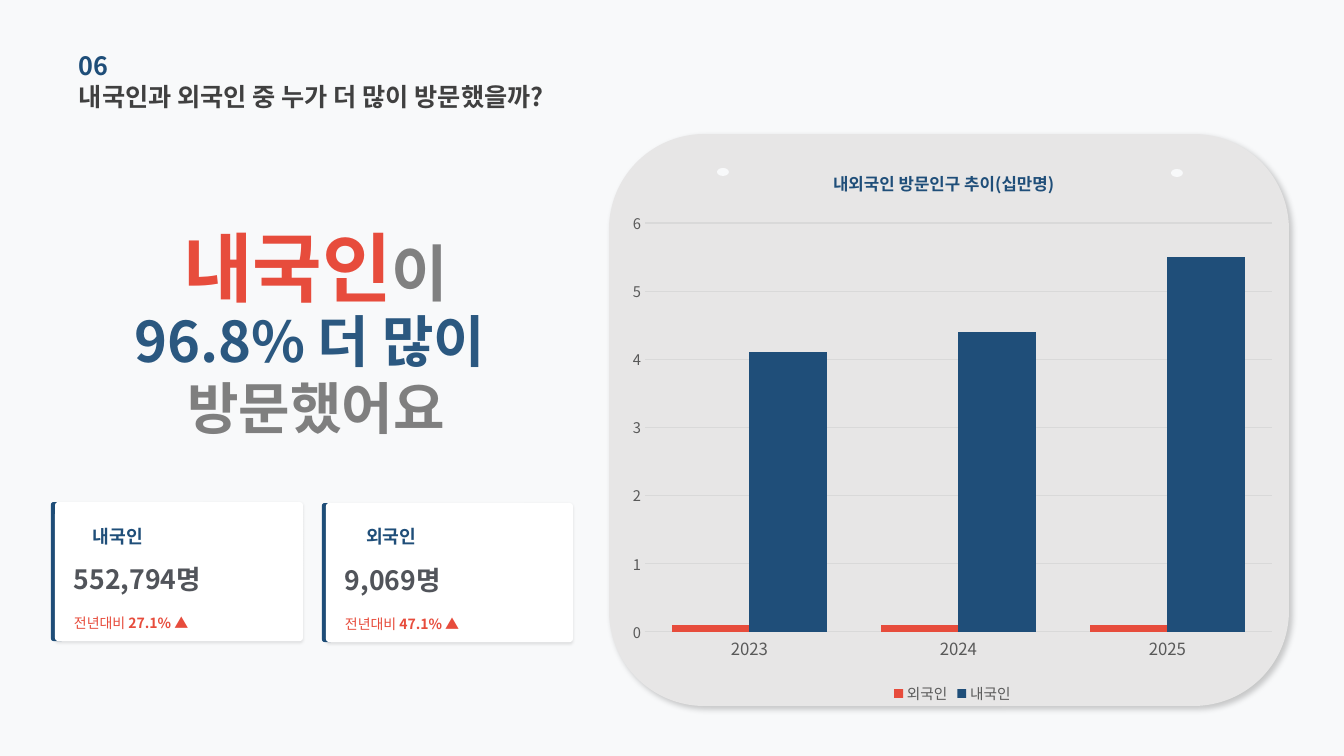
from lxml import etree
from pptx import Presentation
from pptx.chart.data import CategoryChartData
from pptx.dml.color import RGBColor
from pptx.enum.chart import XL_CHART_TYPE as CT, XL_LEGEND_POSITION as LP, XL_TICK_MARK as TM
from pptx.enum.shapes import MSO_SHAPE as SHP
from pptx.enum.text import MSO_ANCHOR as ANC, PP_ALIGN as AL
from pptx.oxml import parse_xml
from pptx.oxml.ns import nsdecls, qn
from pptx.util import Emu, Pt

COLORS = {
    "bg": "F8F9FA", "navy": "1F4E79", "blue": "2B5880", "red": "E74C3C",
    "panel": "E7E6E6", "white": "FFFFFF", "title": "404040", "gray": "808080",
    "gray2": "7F7F7F", "value": "51545A", "axis": "595959", "grid": "D9D9D9",
    "black": "000000",
}


class SlideBuilder:
    FONT = "Noto Sans CJK KR"
    EMU_PER_PX = 914400 / 100.8

    def __init__(self, prs):
        self.s = prs.slides.add_slide(prs.slide_layouts[6])
        fill = self.s.background.fill
        fill.solid()
        fill.fore_color.rgb = self.color("bg")

    @classmethod
    def px(cls, *values):
        return [Emu(round(v * cls.EMU_PER_PX)) for v in values]

    @staticmethod
    def color(name):
        return RGBColor.from_string(COLORS[name])

    def style(self, font, size, color, bold=False):
        font.size, font.bold, font.name = Pt(size), bold, self.FONT
        font.color.rgb = self.color(color)
        font._rPr.set("kern", "0")
        latin = font._rPr.find(qn("a:latin"))
        latin.addnext(etree.Element(qn("a:ea"), typeface=self.FONT))

    def shape(self, kind, box, color, adj=None, shadow=None):
        sp = self.s.shapes.add_shape(kind, *self.px(*box))
        sp.fill.solid()
        sp.fill.fore_color.rgb = self.color(color)
        sp.line.fill.background()
        sp.shadow.inherit = False
        if adj is not None:
            sp.adjustments[0] = adj
        if shadow:
            alpha, blur, dist, angle = shadow
            effects = sp._element.spPr.find(qn("a:effectLst"))
            effects.append(parse_xml(
                f'<a:outerShdw {nsdecls("a")} blurRad="{Pt(blur)}" dist="{Pt(dist)}" '
                f'dir="{angle * 60000}" algn="ctr" rotWithShape="0">'
                f'<a:srgbClr val="{COLORS["black"]}"><a:alpha val="{alpha * 1000}"/>'
                '</a:srgbClr></a:outerShdw>'))

    def text(self, box, *paragraphs, align=AL.LEFT):
        """Each paragraph is a list of runs: (text, size, color, bold)."""
        tf = self.s.shapes.add_textbox(*self.px(*box)).text_frame
        tf.word_wrap = True
        tf.vertical_anchor = ANC.MIDDLE
        tf.margin_left = tf.margin_right = tf.margin_top = tf.margin_bottom = 0
        for i, runs in enumerate(paragraphs):
            p = tf.add_paragraph() if i else tf.paragraphs[0]
            p.alignment = align
            for text, *look in runs:
                r = p.add_run()
                r.text = text
                self.style(r.font, *look)

    def card(self, x, y, width, label_dx, label, value, change):
        self.shape(SHP.ROUNDED_RECTANGLE, (x - 4, y, 15, 139), "navy")
        self.shape(SHP.ROUNDED_RECTANGLE, (x, y, width, 139), "white", 0.023, (10, 2, 1, 90))
        self.text((x + label_dx, 522, 66, 28), [(label, 13, "navy", True)])
        self.text((x + 19, y + 57, 250, 39), [(value, 19, "value", True)])
        self.text((x + 19, y + 98, 250, 45),
                  [("전년대비 ", 10, "red", False), (change, 10, "red", True)])

    @staticmethod
    def place(element, chart_box, x, y, w=None, h=None):
        """Fix a chart part at slide px, stored as fractions of the chart's size."""
        for old in element.findall(qn("c:layout")):
            element.remove(old)
        left, top, width, height = chart_box
        parts = {"x": (x - left) / width, "y": (y - top) / height}
        target = ""
        if w:
            parts.update(w=w / width, h=h / height)
            target = '<c:layoutTarget val="inner"/>'
        modes = "".join(f'<c:{k}Mode val="edge"/>' for k in "xy")
        sizes = "".join(f'<c:{k} val="{v:.4f}"/>' for k, v in parts.items())
        layout = parse_xml(f'<c:layout {nsdecls("c")}><c:manualLayout>{target}{modes}{sizes}'
                           '</c:manualLayout></c:layout>')
        tx = element.find(qn("c:tx"))
        if tx is not None:
            tx.addnext(layout)
        else:
            element.insert(0, layout)

    def column_chart(self, box, title, categories, series):
        data = CategoryChartData()
        data.categories = categories
        for name, _, values in series:
            data.add_series(name, values)
        chart = self.s.shapes.add_chart(CT.COLUMN_CLUSTERED, *self.px(*box), data).chart
        chart.font.size, chart.font.name = Pt(10), "Calibri"

        # Title and legend
        chart.has_title = True
        r = chart.chart_title.text_frame.paragraphs[0].add_run()
        r.text = title
        self.style(r.font, 12, "navy", True)
        chart.chart_title.include_in_layout = False
        self.place(chart.chart_title._element, box, 830, 165)
        chart.has_legend = True
        chart.legend.position = LP.BOTTOM
        chart.legend.include_in_layout = False
        self.style(chart.legend.font, 10.5, "axis")

        # Columns
        plot = chart.plots[0]
        plot.gap_width, plot.overlap, plot.vary_by_categories = 70, 0, False
        for ser, (_, color, _) in zip(plot.series, series):
            ser.format.fill.solid()
            ser.format.fill.fore_color.rgb = self.color(color)
        self.place(chart._chartSpace.chart.plotArea, box, 645, 223, 627, 409)

        # Axes
        cat, val = chart.category_axis, chart.value_axis
        for axis, size in ((cat, 12), (val, 10.5)):
            axis.major_tick_mark = axis.minor_tick_mark = TM.NONE
            self.style(axis.tick_labels.font, size, "axis")
        val.minimum_scale, val.maximum_scale, val.major_unit = 0, 6, 1
        val.tick_labels.number_format = "0"
        val.tick_labels.number_format_is_linked = False
        val.format.line.fill.background()
        for line in (cat.format.line, val.major_gridlines.format.line):
            line.color.rgb = self.color("grid")
            line.width = Pt(0.75)


def main():
    prs = Presentation()
    prs.slide_width, prs.slide_height = SlideBuilder.px(1344, 756)
    b = SlideBuilder(prs)

    # Chart panel with two pin holes
    b.shape(SHP.ROUNDED_RECTANGLE, (609, 134, 680, 572), "panel", shadow=(20, 4, 3, 45))
    for x, y in ((717, 168), (1171, 169)):
        b.shape(SHP.OVAL, (x, y, 12, 8), "bg")

    # Heading
    b.text((79, 76, 532, 41), [("내국인과 외국인 중 누가 더 많이 방문했을까?", 18, "title", True)])
    b.text((79, 45, 456, 41), [("06", 18, "navy", True)])

    # Key message
    b.text((100, 242, 432, 48), [("내국인", 54, "red", True), ("이", 44, "gray", True)],
           align=AL.CENTER)
    b.text((38, 331, 556, 85), [("96.8% 더 많이 ", 40, "blue", True)],
           [("방문했어요", 40, "gray2", True)], align=AL.CENTER)

    # Visitor cards
    b.card(55, 502, 248, 38, "내국인", "552,794명", "27.1% ▲")
    b.card(326, 503, 247, 40, "외국인", "9,069명", "47.1% ▲")

    # Visitor trend
    b.column_chart((620, 149, 665, 559), "내외국인 방문인구 추이(십만명)",
                   ("2023", "2024", "2025"),
                   (("외국인", "red", (0.1, 0.1, 0.1)),
                    ("내국인", "navy", (4.1, 4.4, 5.5))))

    prs.save("out.pptx")


if __name__ == "__main__":
    main()
